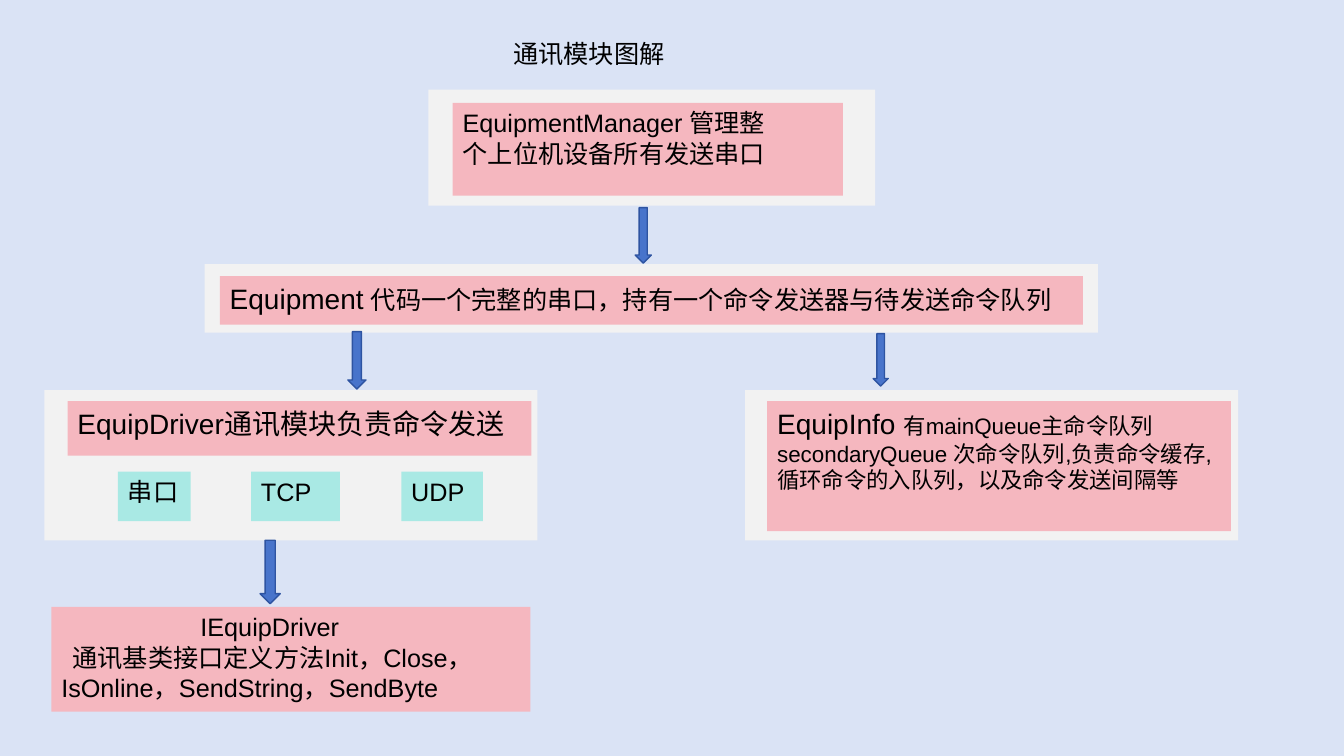
from dataclasses import dataclass

from pptx import Presentation
from pptx.dml.color import RGBColor
from pptx.enum.shapes import MSO_SHAPE
from pptx.enum.text import MSO_ANCHOR, PP_ALIGN
from pptx.util import Inches, Pt

RECTANGLE = MSO_SHAPE.RECTANGLE
DOWN_ARROW = MSO_SHAPE.DOWN_ARROW
TOP = MSO_ANCHOR.TOP
LEFT = PP_ALIGN.LEFT

BACKGROUND, PANEL, MODULE, CHANNEL = "DAE3F5", "F2F2F2", "F5B7BF", "A9E9E4"
ARROW_FILL, ARROW_LINE, TEXT = "4874CB", "2E54A1", "000000"


@dataclass(frozen=True)
class Line:
    """One paragraph: (text, size) runs, left margin and first-line indent."""
    runs: tuple[tuple[str, int], ...]
    margin: float = 0
    indent: float = 0


@dataclass(frozen=True)
class Box:
    left: float
    top: float
    width: float
    height: float
    fill: str
    lines: tuple[Line, ...] = ()


@dataclass(frozen=True)
class Arrow:
    left: float
    top: float
    width: float
    height: float


def rgb(value: str) -> RGBColor:
    return RGBColor.from_string(value)


def place(part: Box | Arrow) -> tuple[Inches, ...]:
    return tuple(Inches(n) for n in (part.left, part.top, part.width, part.height))


def write(frame, lines: tuple[Line, ...], **margins: float) -> None:
    frame_format = {"word_wrap": True, "vertical_anchor": TOP}
    frame_format |= {name: Inches(value) for name, value in margins.items()}
    for name, value in frame_format.items():
        setattr(frame, name, value)
    for index, line in enumerate(lines):
        paragraph = frame.add_paragraph() if index else frame.paragraphs[0]
        paragraph.alignment = LEFT
        properties = paragraph._p.get_or_add_pPr()
        properties.set("marL", str(Inches(line.margin)))
        properties.set("indent", str(Inches(line.indent)))
        for text, size in line.runs:
            run = paragraph.add_run()
            run.text = text
            for name, value in {"name": "Arial", "size": Pt(size)}.items():
                setattr(run.font, name, value)
            run.font.color.rgb = rgb(TEXT)


def draw_box(slide, box: Box) -> None:
    shape = slide.shapes.add_shape(RECTANGLE, *place(box))
    shape.shadow.inherit = False
    shape.fill.solid()
    shape.fill.fore_color.rgb = rgb(box.fill)
    shape.line.fill.background()
    if box.lines:
        write(shape.text_frame, box.lines)


def draw_arrow(slide, arrow: Arrow) -> None:
    shape = slide.shapes.add_shape(DOWN_ARROW, *place(arrow))
    shape.shadow.inherit = False
    shape.fill.solid()
    shape.fill.fore_color.rgb = rgb(ARROW_FILL)
    shape.line.color.rgb = rgb(ARROW_LINE)
    shape.line.width = Pt(1)


def plain(text: str, size: int = 18, margin: float = 0, indent: float = 0) -> Line:
    return Line(((text, size),), margin, indent)


# Driver interface, driver with its channels, command queues, port, manager
CHANNELS = (("串口", 1.17, 0.72), ("TCP", 2.49, 0.88), ("UDP", 3.98, 0.81))
BOXES = (
    Box(0.51, 6.02, 4.75, 1.04, MODULE, (
        plain("IEquipDriver", margin=1.38),
        plain("通讯基类接口定义方法Init，Close，IsOnline，SendString，SendByte", indent=0.11),
    )),
    Box(0.44, 3.87, 4.89, 1.49, PANEL),
    Box(0.67, 3.98, 4.6, 0.54, MODULE, (plain("EquipDriver通讯模块负责命令发送", 20),)),
    *(Box(left, 4.68, width, 0.49, CHANNEL, (plain(name),))
      for name, left, width in CHANNELS),
    Box(7.39, 3.87, 4.89, 1.49, PANEL),
    Box(7.61, 3.98, 4.6, 1.29, MODULE, (
        Line((("EquipInfo ", 20), ("有mainQueue主命令队列", 16))),
        plain("secondaryQueue 次命令队列,负责命令缓存,循环命令的入队列，以及命令发送间隔等", 16),
    )),
    Box(2.03, 2.62, 8.86, 0.68, PANEL),
    Box(2.18, 2.74, 8.56, 0.48, MODULE, (
        Line((("Equipment", 20),
              (" 代码一个完整的串口，持有一个命令发送器与待发送命令队列", 18))),
    )),
    Box(4.25, 0.89, 4.43, 1.15, PANEL),
    Box(4.49, 1.02, 3.87, 0.92, MODULE, (
        plain("EquipmentManager 管理整"),
        plain("个上位机设备所有发送串口"),
    )),
)

ARROWS = (
    Arrow(2.58, 5.36, 0.2, 0.63),
    Arrow(3.45, 3.29, 0.18, 0.57),
    Arrow(8.66, 3.31, 0.15, 0.52),
    Arrow(6.3, 2.06, 0.16, 0.55),
)


def main() -> None:
    deck = Presentation()
    deck.slide_width, deck.slide_height = Inches(13.33), Inches(7.5)
    slide = deck.slides.add_slide(deck.slide_layouts[6])
    slide.background.fill.solid()
    slide.background.fill.fore_color.rgb = rgb(BACKGROUND)

    # Title
    title = slide.shapes.add_textbox(
        Inches(3.31), Inches(0.26), Inches(6.89), Inches(0.63))
    write(title.text_frame, (plain("通讯模块图解"),), margin_left=1.78, margin_top=0.12)

    # Modules and the flow between them
    for box in BOXES:
        draw_box(slide, box)
    for arrow in ARROWS:
        draw_arrow(slide, arrow)

    deck.save("out.pptx")


if __name__ == "__main__":
    main()
